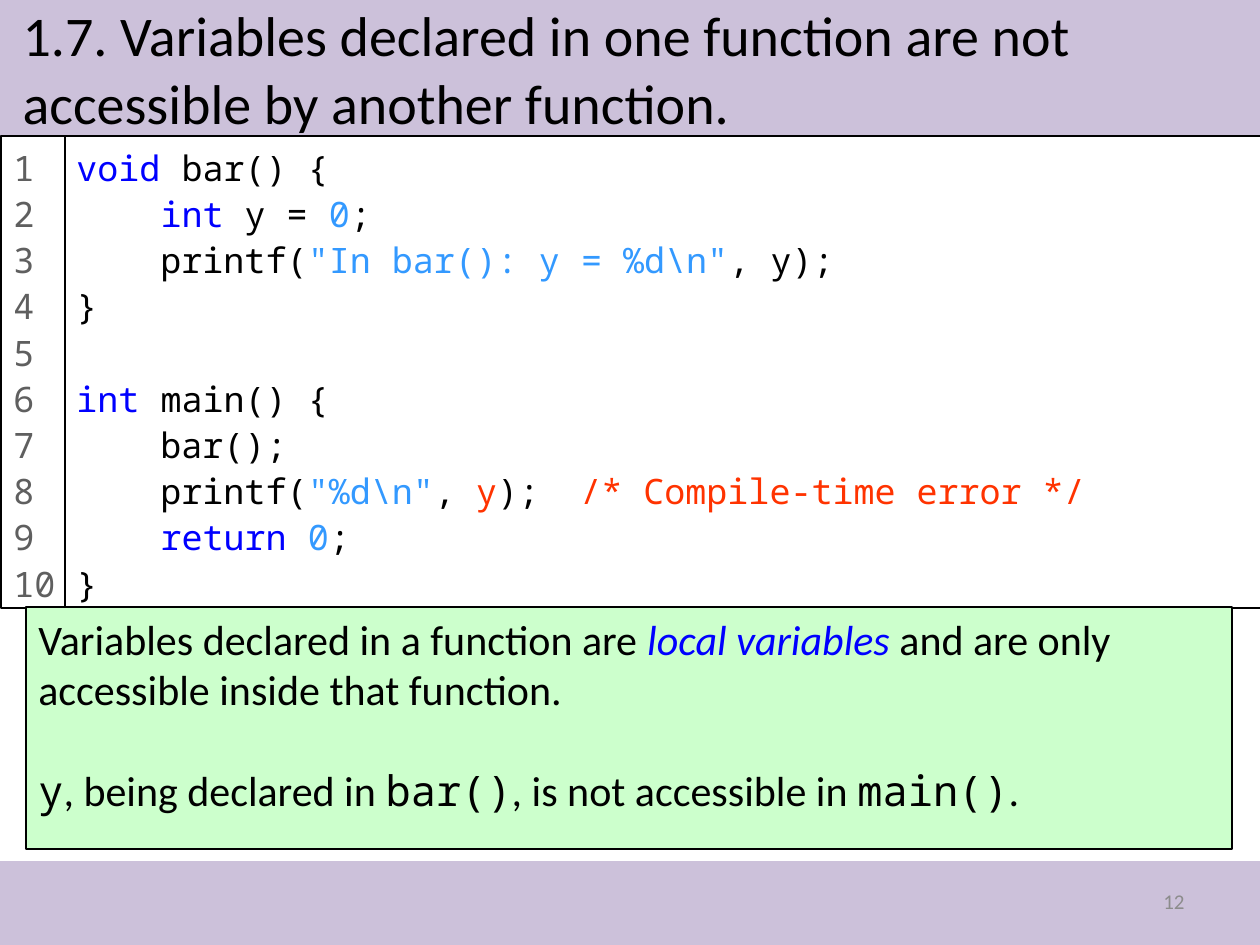
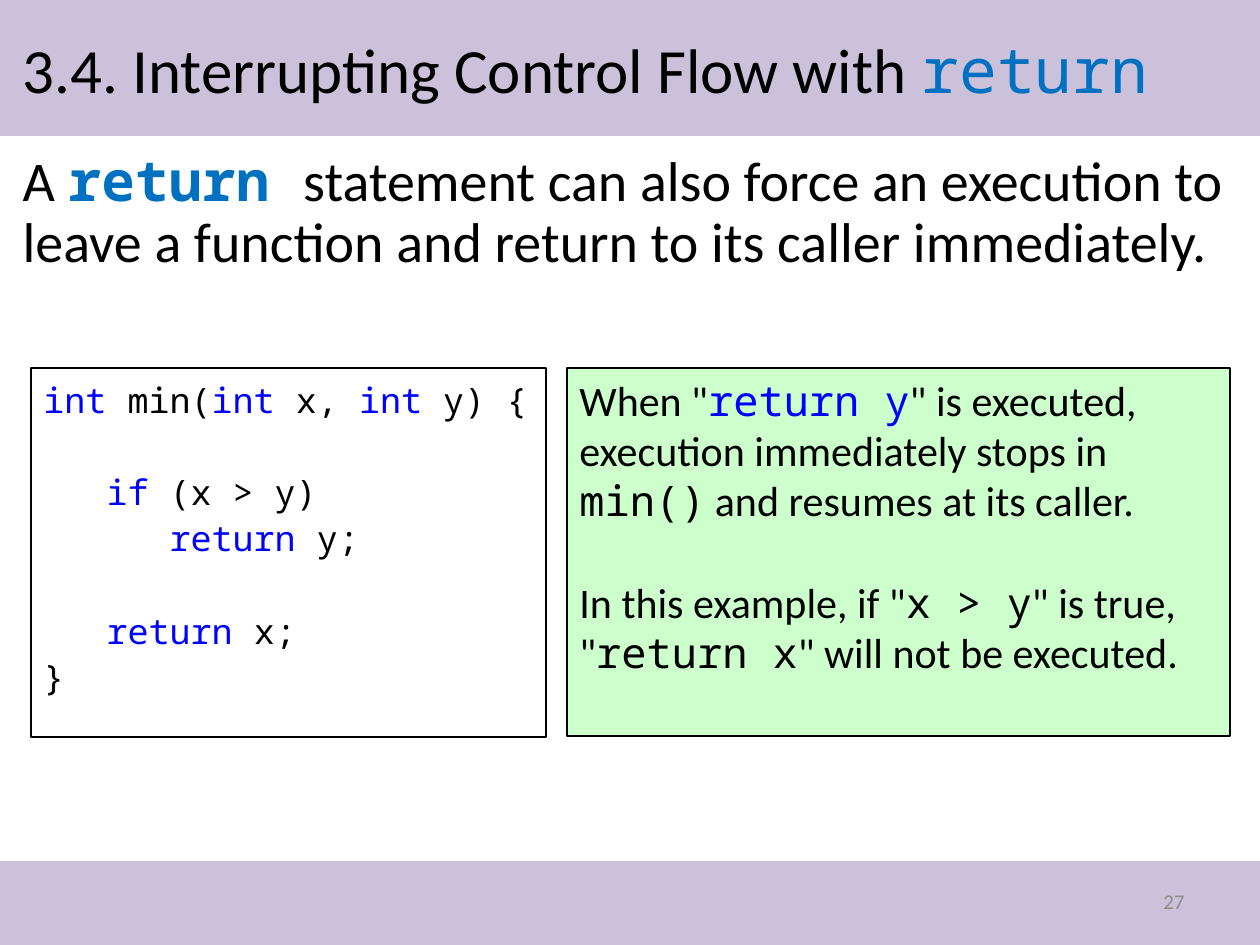
from lxml import etree
from pptx import Presentation
from pptx import util as u
from pptx.dml.color import RGBColor
from pptx.enum import shapes, text
from pptx.oxml import ns

LILAC = RGBColor(0xCC, 0xC1, 0xDA)
MINT = RGBColor(0xCC, 0xFF, 0xCC)
WHITE = RGBColor(0xFF, 0xFF, 0xFF)
BLACK = RGBColor(0x00, 0x00, 0x00)
GREY = RGBColor(0x5F, 0x5F, 0x5F)
PALE_GREY = RGBColor(0x8C, 0x8C, 0x8C)
BLUE = RGBColor(0x00, 0x00, 0xFF)
SKY = RGBColor(0x33, 0x99, 0xFF)
RED = RGBColor(0xFF, 0x33, 0x00)
ACCENT = RGBColor(0x00, 0x70, 0xC0)

SANS, MONO = "Calibri", "Noto Sans Mono"
PX = u.Inches(1) / 126
WIDTH, HEIGHT = 1260, 945
BANDS = [(0, 0, WIDTH, 136), (0, 861, WIDTH, 84)]
NUMBER_AREA = (903, 876, 294, 50)

# A span is plain text or (text, format).
KEYWORD = dict(color=BLUE)
LITERAL = dict(color=SKY)
ERROR = dict(color=RED)
CODE = dict(font=MONO)
CODE_KEYWORD = dict(font=MONO, color=BLUE)
TERM = dict(color=BLUE, italic=True)
RETURN = dict(font=MONO, color=ACCENT)

# Looks of whole text blocks; gap is the height of one blank line in points.
CODE_LOOK = dict(font=MONO, size=20, spacing=1.1, gap=26.4)
PROSE_LOOK = dict(size=24, gap=29)

SCOPE_CODE = [
    [("void", KEYWORD), " bar() {"],
    ["    ", ("int", KEYWORD), " y = ", ("0", LITERAL), ";"],
    ["    printf(", ('"In bar(): y = %d\\n"', LITERAL), ", y);"],
    ["}"],
    [],
    [("int", KEYWORD), " main() {"],
    ["    bar();"],
    ["    printf(", ('"%d\\n"', LITERAL), ", ", ("y", ERROR), ");\t",
     ("/* Compile-time error */", ERROR)],
    ["    ", ("return ", KEYWORD), ("0", LITERAL), ";"],
    ["}"],
]
MIN_CODE = [
    [("int", KEYWORD), " min(", ("int", KEYWORD), " x, ", ("int", KEYWORD), " y) {"],
    [],
    ["   ", ("if", KEYWORD), " (x > y)"],
    ["      ", ("return", KEYWORD), " y;"],
    [],
    ["   ", ("return", KEYWORD), " x;"],
    ["}"],
]
SCOPE_NOTE = [
    ["Variables declared in a function are ", ("local variables", TERM),
     " and are only accessible inside that function."],
    [],
    [("y", CODE), ", being declared in ", ("bar()", CODE),
     ", is not accessible in ", ("main()", CODE), "."],
]
MIN_NOTE = [
    ['When "', ("return y", CODE_KEYWORD),
     '" is executed, execution immediately stops in ', ("min()", CODE),
     " and resumes at its caller."],
    [],
    ['In this example, if "', ("x > y", CODE), '" is true, "',
     ("return x", CODE), '" will not be executed.'],
]
LINE_NUMBERS = [[str(n + 1)] for n in range(len(SCOPE_CODE))]

PAGES = [
    dict(
        number="12",
        title=["1.7. Variables declared in one function are not accessible by "
               "another function."],
        title_size=32,
        title_width=1240,
        boxes=[
            dict(area=(64, 136, 1197, 472), lines=SCOPE_CODE, look=CODE_LOOK),
            dict(area=(1, 136, 64, 472), lines=LINE_NUMBERS,
                 look=dict(CODE_LOOK, color=GREY), right_inset=0),
            dict(area=(26, 607, 1206, 242), lines=SCOPE_NOTE, look=PROSE_LOOK, fill=MINT),
        ],
    ),
    dict(
        number="27",
        title=["3.4. Interrupting Control Flow with ", ("return", RETURN)],
        title_size=36,
        title_width=1220,
        body=[["A ", ("return ", dict(RETURN, bold=True)),
               "statement can also force an execution to leave a function and "
               "return to its caller immediately."]],
        boxes=[
            dict(area=(31, 368, 515, 369), lines=MIN_CODE, look=CODE_LOOK),
            dict(area=(567, 368, 663, 368), lines=MIN_NOTE, look=PROSE_LOOK, fill=MINT),
        ],
    ),
]


def scaled(area):
    return [round(length * PX) for length in area]


def place(shape, area):
    shape.left, shape.top, shape.width, shape.height = scaled(area)


def add_span(para, words, font=SANS, size=24, color=BLACK, bold=False, italic=False):
    span = para.add_run()
    span.text = words
    span.font.name = font
    span.font.size = u.Pt(size)
    span.font.color.rgb = color
    span.font.bold = bold
    span.font.italic = italic


def write(frame, lines, spacing=None, gap=0, align=text.PP_ALIGN.LEFT,
          anchor=text.MSO_ANCHOR.TOP, **look):
    """Fill a text frame; an empty line becomes space before the next one."""
    frame.word_wrap = True
    frame.auto_size = text.MSO_AUTO_SIZE.NONE
    frame.vertical_anchor = anchor
    para, space = None, 0
    for line in lines:
        if not line:
            space += gap
            continue
        para = frame.add_paragraph() if para else frame.paragraphs[0]
        para.alignment = align
        para.space_before = u.Pt(space)
        if spacing:
            para.line_spacing = spacing
        space = 0
        for span in line:
            words, extra = (span, {}) if isinstance(span, str) else span
            add_span(para, words, **{**look, **extra})


def add_rect(page, area, fill, outlined=True):
    box = page.shapes.add_shape(shapes.MSO_SHAPE.RECTANGLE, *scaled(area))
    box.shadow.inherit = False
    box.fill.solid()
    box.fill.fore_color.rgb = fill
    if outlined:
        box.line.color.rgb = BLACK
        box.line.width = u.Pt(0.75)
    else:
        box.line.fill.background()
    return box


def add_text_box(page, area, lines, look, fill=WHITE, right_inset=None):
    box = add_rect(page, area, fill)
    if right_inset is not None:
        box.text_frame.margin_right = right_inset
    write(box.text_frame, lines, **look)


def add_bands_to_master(deck, page):
    """Draw the bands on a page, then move them behind everything on the master."""
    tree = deck.slide_master.shapes.element
    for area in BANDS:
        tree.insert(2, add_rect(page, area, LILAC, outlined=False).element)


def fill_body(body, lines):
    place(body, (10, 147, 1250, 189))
    write(body.text_frame, lines, size=32, spacing=0.9)
    for para in body.text_frame.paragraphs:
        props = para._p.get_or_add_pPr()
        props.set("marL", "0")
        props.set("indent", "0")
        etree.SubElement(props, ns.qn("a:buNone"))


def add_page(deck, content):
    layout = deck.slide_layouts[1 if "body" in content else 5]
    page = deck.slides.add_slide(layout)
    number = page.shapes.add_textbox(*scaled(NUMBER_AREA))
    write(number.text_frame, [[content["number"]]], size=12, color=PALE_GREY,
          align=text.PP_ALIGN.RIGHT, anchor=text.MSO_ANCHOR.MIDDLE)
    title = page.shapes.title
    place(title, (10, 10, content["title_width"], 116))
    write(title.text_frame, [content["title"]], size=content["title_size"],
          anchor=text.MSO_ANCHOR.MIDDLE)
    if "body" in content:
        fill_body(page.placeholders[1], content["body"])
    for box in content["boxes"]:
        add_text_box(page, **box)
    return page


def main():
    deck = Presentation()
    deck.slide_width, deck.slide_height = scaled((WIDTH, HEIGHT))
    pages = [add_page(deck, content) for content in PAGES]
    add_bands_to_master(deck, pages[0])
    deck.save("out.pptx")


if __name__ == "__main__":
    main()
